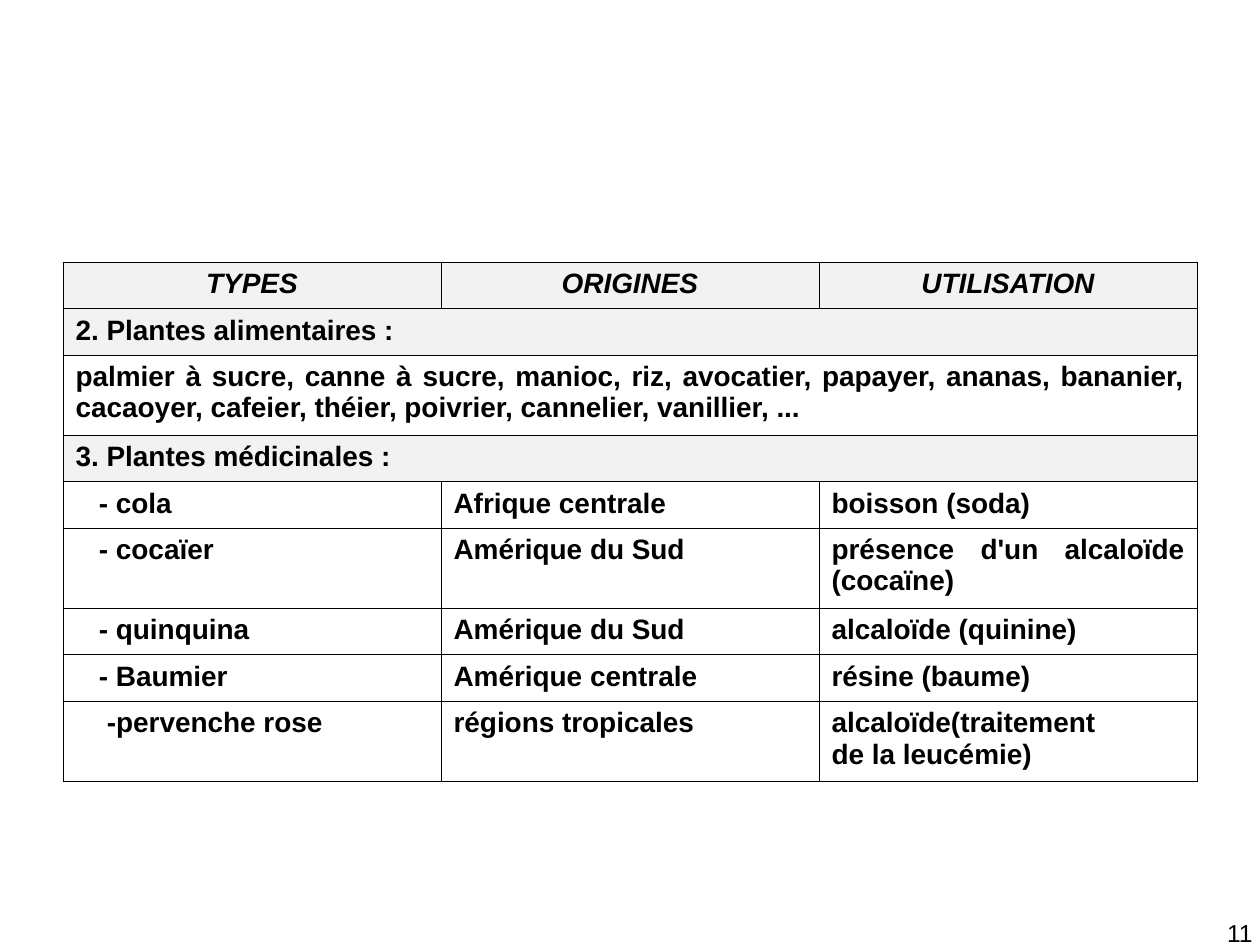
"""Build a slide with a table of food and medicinal plants."""
from dataclasses import dataclass

from lxml import etree
from pptx import Presentation
from pptx import util as u
from pptx.dml.color import RGBColor
from pptx.enum import text
from pptx.oxml import ns

BLACK = RGBColor(0x00, 0x00, 0x00)
GREY = RGBColor(0xF2, 0xF2, 0xF2)
FONT = "Arial"
COLUMN_COUNT = 3
COLUMN_WIDTH = u.Cm(7.62)
SINGLE_LINE, DOUBLE_LINE = u.Cm(0.94), u.Cm(1.61)
BORDER_WIDTH = u.Pt(0.45)


@dataclass(frozen=True)
class Row:
    texts: tuple[str, ...]
    height: int = SINGLE_LINE
    shaded: bool = False
    header: bool = False
    indent: int = 0


ROWS = (
    Row(("TYPES", "ORIGINES", "UTILISATION"), shaded=True, header=True),
    Row(("2. Plantes alimentaires :",), shaded=True),
    Row(("palmier à sucre, canne à sucre, manioc, riz, avocatier, papayer, ananas, "
         "bananier, cacaoyer, cafeier, théier, poivrier, cannelier, vanillier, ...",),
        height=DOUBLE_LINE),
    Row(("3. Plantes médicinales :",), shaded=True),
    Row(("- cola", "Afrique centrale", "boisson (soda)"), indent=u.Cm(0.47)),
    Row(("- cocaïer", "Amérique du Sud", "présence d'un alcaloïde (cocaïne)"),
        height=DOUBLE_LINE, indent=u.Cm(0.47)),
    Row(("- quinquina", "Amérique du Sud", "alcaloïde (quinine)"), indent=u.Cm(0.47)),
    Row(("- Baumier", "Amérique centrale", "résine (baume)"), indent=u.Cm(0.47)),
    Row(("-pervenche rose", "régions tropicales", "alcaloïde(traitement\nde la leucémie)"),
        height=DOUBLE_LINE, indent=u.Cm(0.63)),
)


def write_text(frame, content: str, *, size: float, align, bold: bool = False,
               italic: bool = False, indent: int = 0) -> None:
    frame.word_wrap = True
    frame.text = content
    for paragraph in frame.paragraphs:
        paragraph.alignment = align
        if indent:
            properties = paragraph._p.get_or_add_pPr()
            properties.set("marL", str(int(indent)))
            properties.set("indent", "0")
        for run in paragraph.runs:
            font = run.font
            font.name, font.size = FONT, u.Pt(size)
            font.bold, font.italic = bold, italic
            font.color.rgb = BLACK


def format_cell(cell, shaded: bool) -> None:
    properties = cell._tc.get_or_add_tcPr()
    for side in ("a:lnL", "a:lnR", "a:lnT", "a:lnB"):
        line = etree.SubElement(properties, ns.qn(side), w=str(int(BORDER_WIDTH)))
        fill = etree.SubElement(line, ns.qn("a:solidFill"))
        etree.SubElement(fill, ns.qn("a:srgbClr"), val=str(BLACK))
    if shaded:
        cell.fill.solid()
        cell.fill.fore_color.rgb = GREY
    else:
        cell.fill.background()


def draw_table(slide, rows: tuple[Row, ...]) -> None:
    table = slide.shapes.add_table(
        len(rows), COLUMN_COUNT, u.Cm(1.27), u.Cm(5.28),
        COLUMN_WIDTH * COLUMN_COUNT, sum(row.height for row in rows)).table
    table.first_row = table.horz_banding = False
    for column in table.columns:
        column.width = COLUMN_WIDTH
    for index, row in enumerate(rows):
        table.rows[index].height = row.height
        for cell in table.rows[index].cells:
            format_cell(cell, row.shaded)
        if len(row.texts) == 1:
            table.cell(index, 0).merge(table.cell(index, COLUMN_COUNT - 1))
        align = text.PP_ALIGN.CENTER if row.header else text.PP_ALIGN.JUSTIFY
        for column_index, content in enumerate(row.texts):
            write_text(table.cell(index, column_index).text_frame, content, size=16,
                       align=align, bold=True, italic=row.header,
                       indent=0 if column_index else row.indent)


def main() -> None:
    presentation = Presentation()
    presentation.slide_width, presentation.slide_height = u.Cm(25.4), u.Cm(19.05)
    slide = presentation.slides.add_slide(presentation.slide_layouts[6])
    draw_table(slide, ROWS)
    page_number = slide.shapes.add_textbox(u.Cm(19.58), u.Cm(18.39), u.Cm(5.92), u.Cm(1.32))
    write_text(page_number.text_frame, "11", size=14, align=text.PP_ALIGN.RIGHT)
    presentation.save("out.pptx")


if __name__ == "__main__":
    main()
